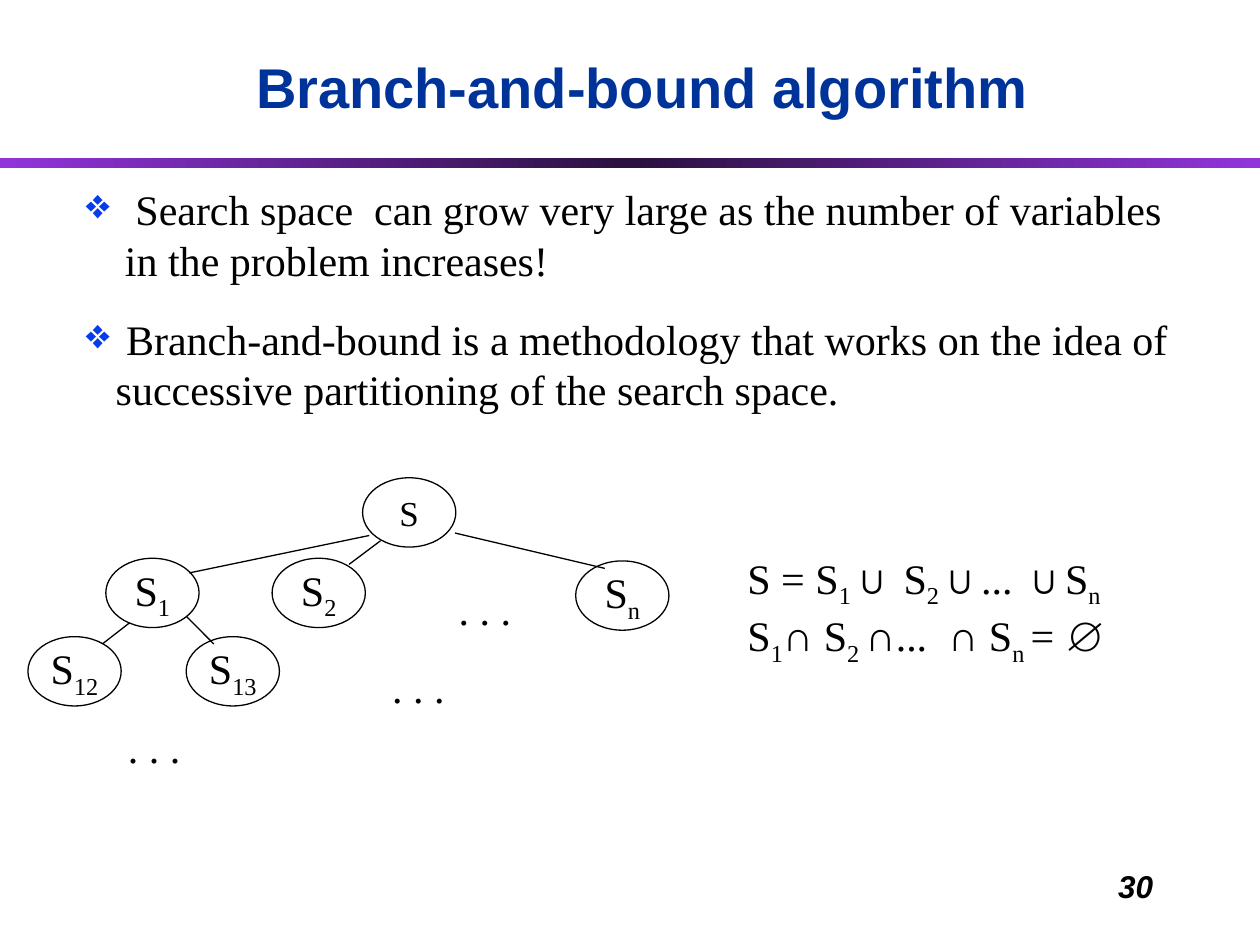
import copy
from typing import Any, NamedTuple

import pptx
import pptx.dml.color
import pptx.enum.shapes
import pptx.enum.text
import pptx.oxml
import pptx.oxml.ns
import pptx.util

Pt = pptx.util.Pt
RGBColor = pptx.dml.color.RGBColor
ALIGN = pptx.enum.text.PP_ALIGN
ANCHOR = pptx.enum.text.MSO_ANCHOR
SHAPE = pptx.enum.shapes.MSO_SHAPE

BLACK = RGBColor(0x00, 0x00, 0x00)
NAVY = RGBColor(0x00, 0x33, 0x99)
BULLET_BLUE = RGBColor(0x06, 0x3D, 0xE8)
PURPLE = RGBColor(0x92, 0x34, 0xDB)
DARK_PURPLE = RGBColor(0x2B, 0x10, 0x40)

TITLE_FORMAT = {"name": "Arial", "size": Pt(32), "bold": True}
NUMBER_FORMAT = {"name": "Arial", "size": Pt(18), "bold": True, "italic": True}
BODY_FORMAT = {"name": "Times New Roman", "size": Pt(24)}
ROOT_FORMAT = {"name": "Times New Roman", "size": Pt(20)}

NODE_WIDTH, NODE_HEIGHT = 53.3, 39.6


class Piece(NamedTuple):
    text: str
    subscript: bool = False


class Node(NamedTuple):
    left: float
    top: float
    index: str


class Edge(NamedTuple):
    start_x: float
    start_y: float
    end_x: float
    end_y: float


class Box(NamedTuple):
    left: float
    top: float
    width: float
    height: float


class Bullet(NamedTuple):
    text: str
    margin: float
    space_before: float


NODES = [
    Node(207.2, 273, ""),
    Node(60.5, 319, "1"),
    Node(155.5, 319, "2"),
    Node(329, 320.5, "n"),
    Node(16, 363.8, "12"),
    Node(106.4, 363.8, "13"),
]
EDGES = [
    Edge(211, 306, 108.2, 327.4),
    Edge(217.5, 309, 199.5, 322.5),
    Edge(260, 304.6, 345.6, 324.8),
    Edge(74.2, 355.8, 58.5, 368),
    Edge(106.5, 352.2, 122.2, 368),
]
ELLIPSES = [Box(255, 330, 45, 36), Box(217, 374.5, 45, 36), Box(66, 408.5, 45, 36)]
BULLETS = [
    Bullet(" Search space  can grow very large as the number of variables\v"
           "in the problem increases!", 22.3, 0),
    Bullet(" Branch-and-bound is a methodology that works on the idea of "
           "successive partitioning of the search space.", 17, 16),
]
FORMULAS = [
    [Piece("S = S"), Piece("1", True), Piece("∪ S"), Piece("2", True),
     Piece("∪... ∪S"), Piece("n", True)],
    [Piece("S"), Piece("1", True), Piece("∩ S"), Piece("2 ", True),
     Piece("∩...  ∩ S"), Piece("n ", True), Piece("= ∅")],
]


def format_font(font: Any, values: dict, color: RGBColor = BLACK) -> None:
    for name, value in values.items():
        setattr(font, name, value)
    font.color.rgb = color


def add_pieces(paragraph: Any, pieces: list[Piece], values: dict) -> None:
    for piece in pieces:
        run = paragraph.add_run()
        run.text = piece.text
        format_font(run.font, values)
        if piece.subscript:
            run._r.get_or_add_rPr().set("baseline", "-25000")


def add_text_box(slide: Any, box: Box, wrap: bool = False) -> Any:
    shape = slide.shapes.add_textbox(*map(Pt, box))
    shape.text_frame.word_wrap = wrap
    return shape.text_frame


def add_title(slide: Any, text: str) -> None:
    title = slide.shapes.title
    title.left, title.top, title.width, title.height = map(Pt, Box(42, 24, 650, 50))
    title.text_frame.text = text
    title.text_frame.vertical_anchor = ANCHOR.MIDDLE
    paragraph = title.text_frame.paragraphs[0]
    paragraph.alignment = ALIGN.CENTER
    format_font(paragraph.runs[0].font, TITLE_FORMAT, NAVY)


def add_rule(slide: Any) -> None:
    rule = slide.shapes.add_shape(SHAPE.RECTANGLE, *map(Pt, Box(0, 90, 720, 5.8)))
    rule.shadow.inherit = False
    rule.line.fill.background()
    rule.fill.gradient()
    rule.fill.gradient_angle = 0
    first = rule.fill._xPr.find(".//" + pptx.oxml.ns.qn("a:gs"))
    first.addnext(copy.deepcopy(first))
    colors = (PURPLE, DARK_PURPLE, PURPLE)
    for stop, position, color in zip(rule.fill.gradient_stops, (0, 0.5, 1), colors):
        stop.position = position
        stop.color.rgb = color


def add_bullets(slide: Any, bullets: list[Bullet]) -> None:
    frame = add_text_box(slide, Box(42, 101.2, 658.8, 138.4), wrap=True)
    for number, bullet in enumerate(bullets):
        paragraph = frame.add_paragraph() if number else frame.paragraphs[0]
        paragraph.text = bullet.text
        paragraph.line_spacing = Pt(29)
        paragraph.space_before = Pt(bullet.space_before)
        properties = paragraph._p.get_or_add_pPr()
        properties.set("marL", str(Pt(bullet.margin)))
        properties.set("indent", str(-Pt(bullet.margin)))
        namespace = pptx.oxml.ns.nsdecls("a")
        for xml in (
            f'<a:buClr {namespace}><a:srgbClr val="{BULLET_BLUE}"/></a:buClr>',
            f'<a:buChar {namespace} char="❖"/>',
        ):
            properties.append(pptx.oxml.parse_xml(xml))
        for run in paragraph.runs:
            format_font(run.font, BODY_FORMAT)


def add_node(slide: Any, node: Node) -> None:
    box = Box(node.left, node.top, NODE_WIDTH, NODE_HEIGHT)
    shape = slide.shapes.add_shape(SHAPE.OVAL, *map(Pt, box))
    shape.shadow.inherit = False
    shape.fill.background()
    shape.line.color.rgb = BLACK
    shape.line.width = Pt(0.75)
    frame = shape.text_frame
    frame.word_wrap = False
    frame.vertical_anchor = ANCHOR.MIDDLE
    paragraph = frame.paragraphs[0]
    paragraph.alignment = ALIGN.CENTER
    pieces = [Piece("S")] + ([Piece(node.index, True)] if node.index else [])
    add_pieces(paragraph, pieces, BODY_FORMAT if node.index else ROOT_FORMAT)


def add_edge(slide: Any, edge: Edge) -> None:
    connector = slide.shapes.add_connector(
        pptx.enum.shapes.MSO_CONNECTOR.STRAIGHT, *map(Pt, edge))
    connector.line.color.rgb = BLACK
    connector.line.width = Pt(0.75)
    effects = pptx.oxml.parse_xml(f'<a:effectLst {pptx.oxml.ns.nsdecls("a")}/>')
    connector._element.spPr.append(effects)


def main() -> None:
    presentation = pptx.Presentation()
    presentation.slide_width, presentation.slide_height = Pt(720), Pt(540)
    slide = presentation.slides.add_slide(presentation.slide_layouts[5])
    add_rule(slide)
    add_title(slide, "Branch-and-bound algorithm")
    add_bullets(slide, BULLETS)
    for node in NODES:
        add_node(slide, node)
    for edge in EDGES:
        add_edge(slide, edge)
    for box in ELLIPSES:
        frame = add_text_box(slide, box)
        add_pieces(frame.paragraphs[0], [Piece(". . .")], BODY_FORMAT)
    frame = add_text_box(slide, Box(420, 312, 223, 65))
    for paragraph, pieces in zip((frame.paragraphs[0], frame.add_paragraph()), FORMULAS):
        add_pieces(paragraph, pieces, BODY_FORMAT)
    number = add_text_box(slide, Box(516, 492, 150, 36), wrap=True).paragraphs[0]
    number.alignment = ALIGN.RIGHT
    add_pieces(number, [Piece("30")], NUMBER_FORMAT)
    presentation.save("out.pptx")


if __name__ == "__main__":
    main()
